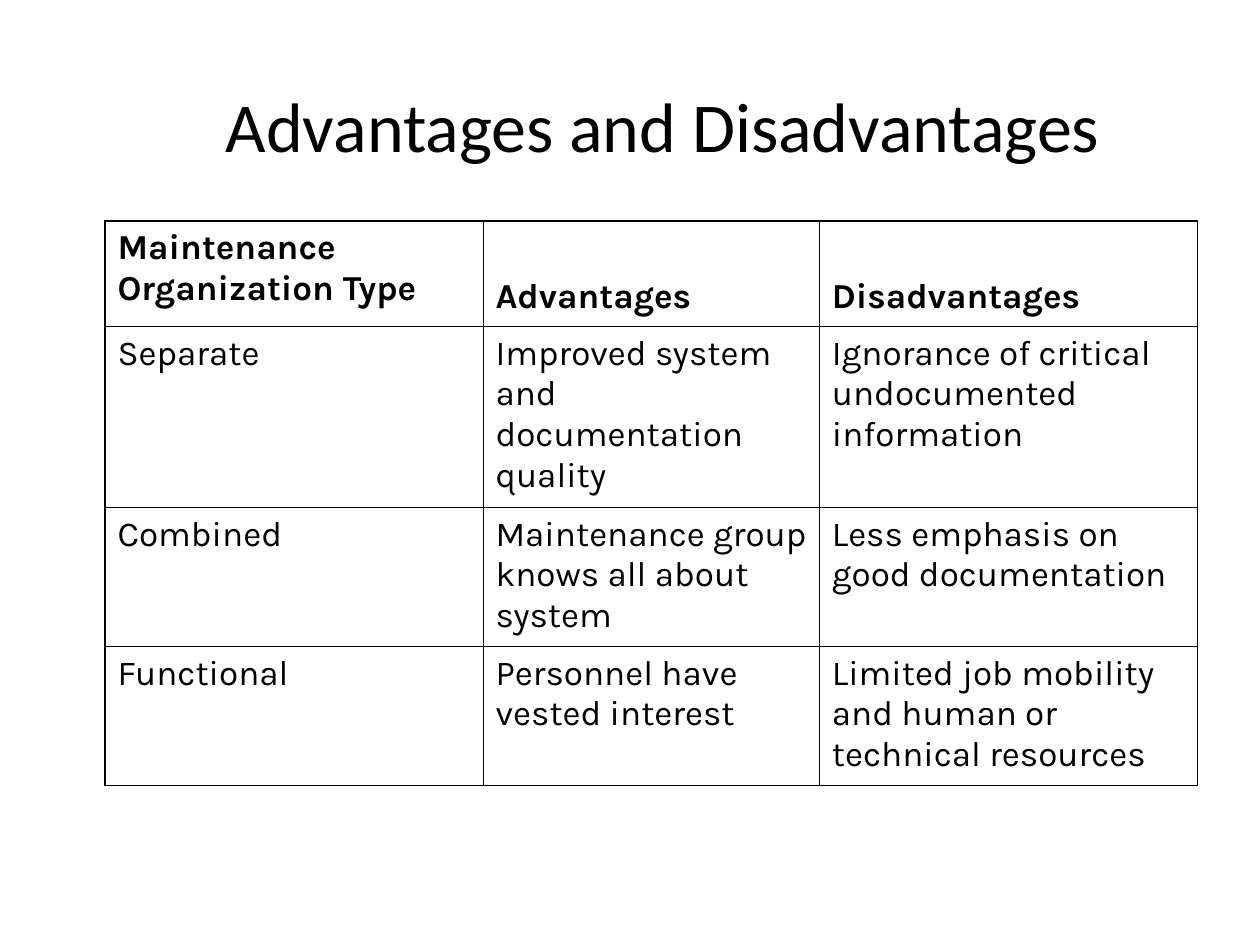
from lxml import etree
from pptx import Presentation
from pptx.dml.color import RGBColor
from pptx.enum.text import MSO_ANCHOR, PP_ALIGN
from pptx.oxml.ns import qn
from pptx.util import Cm, Pt

MIDDLE = MSO_ANCHOR.MIDDLE
TOP = MSO_ANCHOR.TOP
BOTTOM = MSO_ANCHOR.BOTTOM
CENTER = PP_ALIGN.CENTER
LEFT = PP_ALIGN.LEFT

BLACK = "000000"
OUTER_LINE = 1.08
INNER_LINE = 0.45
COLUMN_WIDTHS = [7.62, 6.78, 7.62]
ROW_HEIGHTS = [2.13, 3.63, 2.79, 2.79]
ROWS = [
    ["Maintenance Organization Type", "Advantages", "Disadvantages"],
    ["Separate", "Improved system and documentation quality",
     "Ignorance of critical undocumented information"],
    ["Combined", "Maintenance group knows all about system",
     "Less emphasis on good documentation"],
    ["Functional", "Personnel have vested interest",
     "Limited job mobility and human or technical resources"],
]


def color(value):
    return RGBColor.from_string(value)


def write(paragraph, text, font_name, size, alignment, bold=False):
    paragraph.alignment = alignment
    run = paragraph.add_run()
    run.text = text
    run.font.name = font_name
    run.font.size = Pt(size)
    run.font.bold = bold
    run.font.color.rgb = color(BLACK)


def add_title(slide, left, top, width, height):
    shape = slide.shapes.add_textbox(Cm(left), Cm(top), Cm(width), Cm(height))
    frame = shape.text_frame
    frame.word_wrap = True
    frame.vertical_anchor = MIDDLE
    write(frame.paragraphs[0], "Advantages and Disadvantages", "Calibri", 40, CENTER)


def set_borders(cell, outer_sides):
    properties = cell._tc.get_or_add_tcPr()
    for side in "LRTB":
        width = OUTER_LINE if side in outer_sides else INNER_LINE
        line = etree.SubElement(properties, qn(f"a:ln{side}"), w=str(Pt(width)))
        fill = etree.SubElement(line, qn("a:solidFill"))
        etree.SubElement(fill, qn("a:srgbClr"), val=BLACK)


def fill_cell(cell, text, row, column):
    outer = {"T": row == 0, "B": row == len(ROWS) - 1,
             "L": column == 0, "R": column == len(COLUMN_WIDTHS) - 1}
    set_borders(cell, [side for side, is_outer in outer.items() if is_outer])
    cell.fill.background()
    is_low_header = row == 0 and column > 0
    cell.vertical_anchor = BOTTOM if is_low_header else TOP
    cell.margin_left = cell.margin_right = Cm(0.25)
    cell.margin_top = Cm(0.13)
    cell.margin_bottom = Cm(0.18 if is_low_header else 0.13)
    write(cell.text_frame.paragraphs[0], text, "Karla", 20, LEFT, bold=row == 0)


def add_comparison(slide, left, top):
    shape = slide.shapes.add_table(
        len(ROWS), len(COLUMN_WIDTHS), Cm(left), Cm(top),
        Cm(sum(COLUMN_WIDTHS)), Cm(sum(ROW_HEIGHTS)))
    table = shape.table
    table.first_row = False
    table.horz_banding = False
    for column, width in zip(table.columns, COLUMN_WIDTHS):
        column.width = Cm(width)
    for row, height in zip(table.rows, ROW_HEIGHTS):
        row.height = Cm(height)
    for row, texts in enumerate(ROWS):
        for column, text in enumerate(texts):
            fill_cell(table.cell(row, column), text, row, column)


def main():
    presentation = Presentation()
    presentation.slide_width = Cm(25.4)
    presentation.slide_height = Cm(19.05)
    slide = presentation.slides.add_slide(presentation.slide_layouts[6])
    add_title(slide, 2.54, 1.07, 21.64, 2.9)
    add_comparison(slide, 2.12, 4.45)
    presentation.save("out.pptx")


if __name__ == "__main__":
    main()
